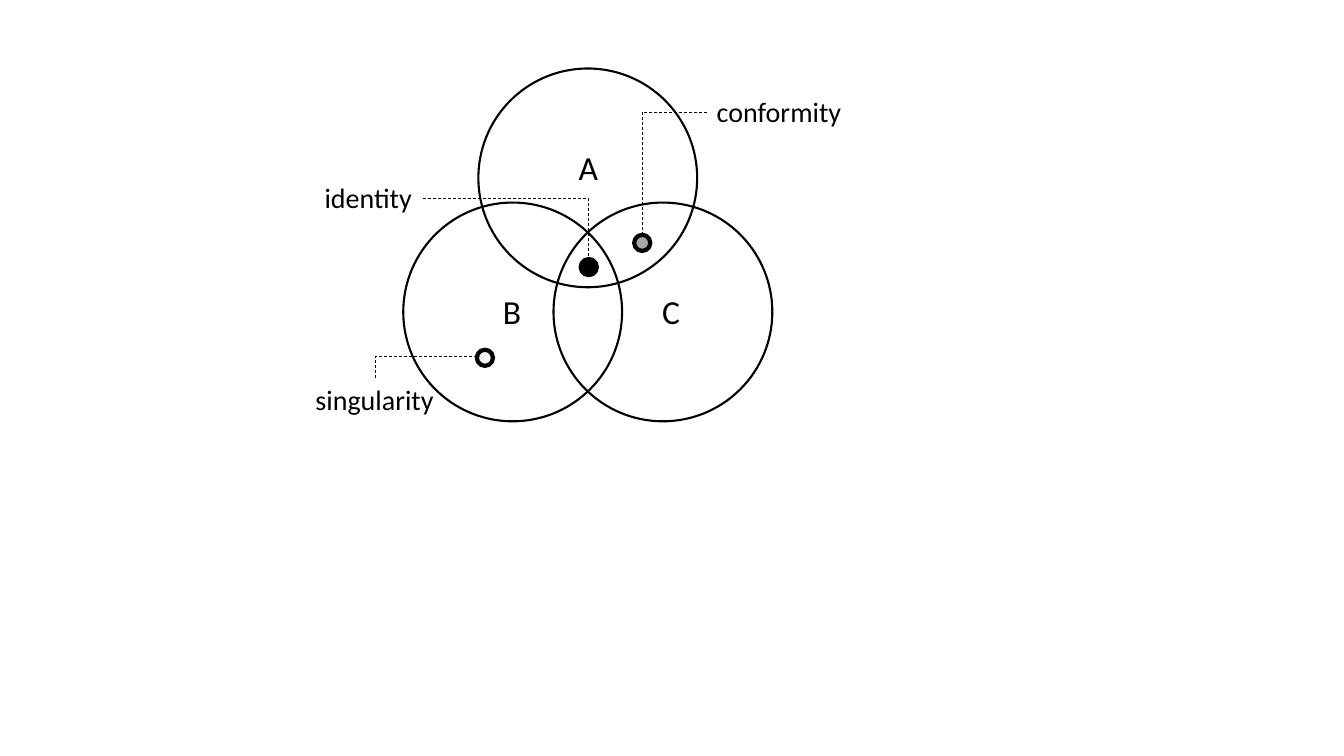
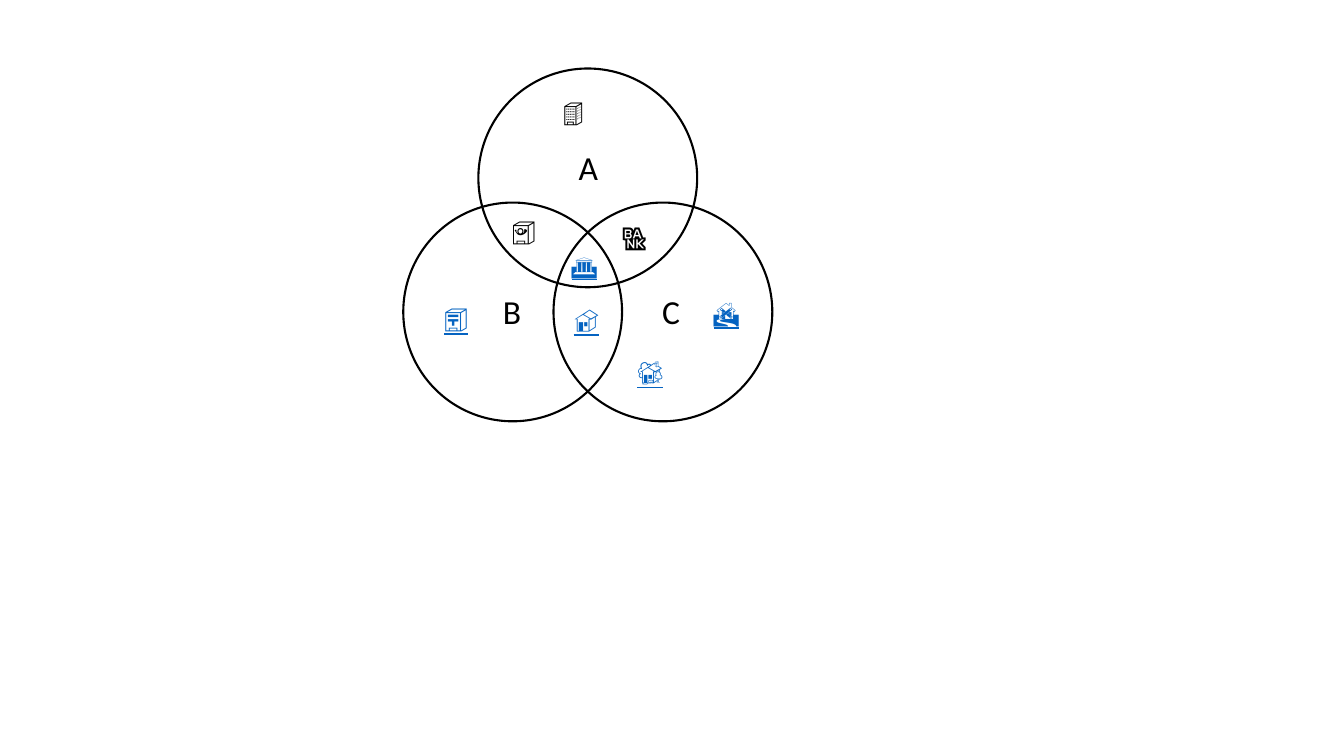
from lxml.etree import SubElement
from pptx import Presentation
from pptx.dml.color import RGBColor
from pptx.enum.dml import MSO_LINE_DASH_STYLE as Dash
from pptx.enum.shapes import MSO_CONNECTOR as Connector, MSO_SHAPE as Shape
from pptx.enum.text import MSO_AUTO_SIZE as AutoSize
from pptx.oxml.ns import qn
from pptx.util import Inches, Pt

BLACK = RGBColor(0x00, 0x00, 0x00)
GREY = RGBColor(0xA6, 0xA6, 0xA6)
PALE = RGBColor(0xF2, 0xF2, 0xF2)
LINK_BLUE = RGBColor(0x05, 0x63, 0xC1)

CELL = Inches(0.1)
VENN_ORIGIN = (40, 6.8)
CIRCLE = 21.7
DOT = 1.6
PITCH = 14.9
DROP = 13.3

SETS = [("B", 8.9, 21.6), ("C", 24.7, 21.6), ("A", 16.4, 7.3)]
CALLOUTS = [
    ("conformity", (30.1, 2.1, 14.8), (22.9, 16.5), GREY, (30.1, 4.3), (23.7, 16.5)),
    ("singularity", (-9.7, 30.7, 13.9), (7.3, 27.9), PALE, (7.3, 28.6), (-2.8, 30.7)),
    ("identity", (-8.8, 10.6, 10.8), (17.6, 18.9), BLACK, (2, 12.9), (18.4, 18.9)),
]
BUILDINGS = [
    ("🏢", 14.9, 2.3, 5.5, BLACK),
    ("🏦", 20.7, 14.7, 5.2, BLACK),
    ("🏤", 9.8, 14.1, 5.1, BLACK),
    ("🏠", 15.9, 22.8, 5.8, LINK_BLUE),
    ("🏡", 22.2, 28, 6.7, LINK_BLUE),
    ("🏚️", 29.8, 22.1, 5.1, LINK_BLUE),
    ("🏣", 3.1, 22.7, 5.1, LINK_BLUE),
    ("🏛️", 15.7, 17.3, 6.2, LINK_BLUE),
]


def place(origin, left, top):
    """Turn cells counted from an origin into a slide position."""
    return round((origin[0] + left) * CELL), round((origin[1] + top) * CELL)


def add_text(page, origin, box, text, size=24, font="Calibri", color=BLACK,
             underline=None, wrap=False):
    """Add a text box with one formatted line."""
    left, top, width, height = box
    label = page.shapes.add_textbox(*place(origin, left, top),
                                    round(width * CELL), round(height * CELL))
    frame = label.text_frame
    frame.word_wrap = wrap
    frame.auto_size = AutoSize.SHAPE_TO_FIT_TEXT
    span = frame.paragraphs[0].add_run()
    span.text = text
    span.font.size = Pt(size)
    span.font.name = font
    span.font.color.rgb = color
    span.font.underline = underline


def add_circle(page, origin, left, top, diameter, weight, fill=None):
    """Add a black-edged circle, hollow unless a fill is given."""
    size = round(diameter * CELL)
    circle = page.shapes.add_shape(Shape.OVAL, *place(origin, left, top), size, size)
    circle.shadow.inherit = False
    circle.line.color.rgb = BLACK
    circle.line.width = Pt(weight)
    if fill is None:
        circle.fill.background()
    else:
        circle.fill.solid()
        circle.fill.fore_color.rgb = fill


def add_leader(page, origin, start, end):
    """Add a dashed connector that runs across, then up or down."""
    leader = page.shapes.add_connector(Connector.ELBOW, *place(origin, *start),
                                       *place(origin, *end))
    leader.line.color.rgb = BLACK
    leader.line.width = Pt(0.5)
    leader.line.dash_style = Dash.DASH
    properties = leader._element.spPr
    properties.find(qn("a:prstGeom")).set("prst", "bentConnector2")
    SubElement(properties, qn("a:effectLst"))


def add_venn(page, origin):
    """Add the three overlapping circles and their letters."""
    for left, top in ((0, DROP), (PITCH, DROP), (PITCH / 2, 0)):
        add_circle(page, origin, left, top, CIRCLE, 1.5)
    for letter, left, top in SETS:
        add_text(page, origin, (left, top, 4, 5), letter)


def add_callouts(page, origin):
    """Add the dots with their leaders and names."""
    for name, label, dot, fill, start, end in CALLOUTS:
        add_text(page, origin, (*label, 4.4), name, size=20)
        add_circle(page, origin, *dot, DOT, 3, fill)
        add_leader(page, origin, start, end)


def add_buildings(page, origin):
    """Add the building symbols, underlining the blue ones."""
    for symbol, left, top, width, color in BUILDINGS:
        add_text(page, origin, (left, top, width, 4), symbol, size=18, font="Lato",
                 color=color, underline=color == LINK_BLUE or None, wrap=True)


def main():
    """Build both slides and save the deck."""
    deck = Presentation()
    deck.slide_width, deck.slide_height = Inches(13.33), Inches(7.5)
    for add_details in (add_callouts, add_buildings):
        page = deck.slides.add_slide(deck.slide_layouts[6])
        add_venn(page, VENN_ORIGIN)
        add_details(page, VENN_ORIGIN)
    deck.save("out.pptx")


main()
